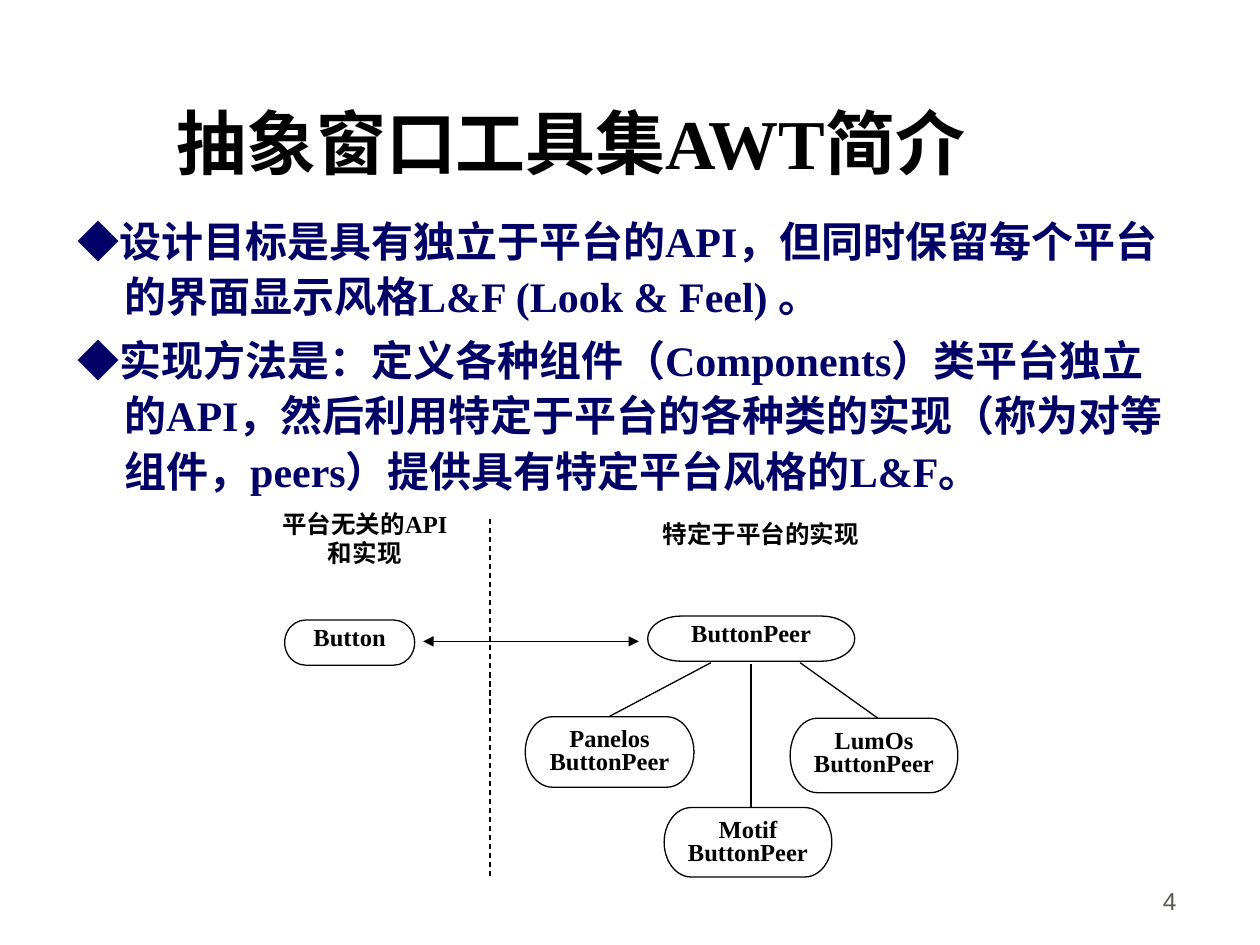
from pptx import Presentation
from pptx import util as u
from pptx.dml.color import RGBColor
from pptx.enum import dml, shapes, text
from pptx.oxml.ns import qn
from lxml import etree

SERIF = "Times New Roman"
BLACK, NAVY, GREY, WHITE = "000000", "000066", "5E574E", "FFFFFF"
ALIGN, ANCHOR = text.PP_ALIGN, text.MSO_ANCHOR


def color(code):
    return RGBColor.from_string(code)


def cm(*nums):
    return [u.Cm(n) for n in nums]


def apply(obj, vals):
    for name, val in vals.items():
        setattr(obj, name, val)


class Deck:
    def __init__(self):
        self.prs = Presentation()
        apply(self.prs, {"slide_width": u.Cm(25.4), "slide_height": u.Cm(19.05)})
        self.slide = self.prs.slides.add_slide(self.prs.slide_layouts[1])

    def style(self, font, size, code, bold=True, face=SERIF):
        apply(font, {"name": face, "size": u.Pt(size), "bold": bold})
        font.color.rgb = color(code)

    def place(self, shape, box):
        apply(shape, dict(zip(("left", "top", "width", "height"), cm(*box))))

    def frame(self, shape, anchor=ANCHOR.TOP):
        """Set up wrapping and anchoring, and return the text frame."""
        frame = shape.text_frame
        apply(frame, {"word_wrap": True, "auto_size": text.MSO_AUTO_SIZE.NONE,
                      "vertical_anchor": anchor})
        return frame

    def title(self, box, parts):
        shape = self.slide.shapes.title
        self.place(shape, box)
        para = self.frame(shape, ANCHOR.BOTTOM).paragraphs[0]
        para.alignment = ALIGN.LEFT
        for words, face in parts:
            run = para.add_run()
            run.text = words
            self.style(run.font, 40, BLACK, face=face)

    def body(self, box, items):
        shape = self.slide.placeholders[1]
        self.place(shape, box)
        frame = self.frame(shape)
        frame.text = "\n".join(items)
        for i, para in enumerate(frame.paragraphs):
            apply(para, {"line_spacing": 1.1, "space_before": u.Pt(4.8 if i else 0)})
            props = para._p.get_or_add_pPr()
            props.set("marL", str(u.Cm(0.95)))
            props.set("indent", str(u.Cm(-0.95)))
            etree.SubElement(props, qn("a:buNone"))
            self.style(para.runs[0].font, 24, NAVY)

    def label(self, box, words, align, anchor=ANCHOR.TOP, **look):
        shape = self.slide.shapes.add_textbox(*cm(*box))
        para = self.frame(shape, anchor).paragraphs[0]
        para.alignment = align
        run = para.add_run()
        run.text = words
        self.style(run.font, 14, **{"code": BLACK, **look})

    def node(self, box, words):
        kind = shapes.MSO_SHAPE.FLOWCHART_TERMINATOR
        shape = self.slide.shapes.add_shape(kind, *cm(*box))
        shape.shadow.inherit = False
        shape.fill.solid()
        shape.fill.fore_color.rgb = color(WHITE)
        self.stroke(shape.line)
        frame = self.frame(shape)
        apply(frame, dict(zip(("margin_left", "margin_top", "margin_right", "margin_bottom"),
                              cm(0.15, 0.03, 0.15, 0.03))))
        frame.text = words
        for para in frame.paragraphs:
            apply(para, {"alignment": ALIGN.CENTER, "line_spacing": 0.8})
            self.style(para.runs[0].font, 14, BLACK)

    def stroke(self, line):
        line.color.rgb = color(BLACK)
        line.width = u.Pt(0.75)

    def link(self, ends, dash=False, arrows=False):
        link = self.slide.shapes.add_connector(shapes.MSO_CONNECTOR.STRAIGHT, *cm(*ends))
        self.stroke(link.line)
        if dash:
            link.line.dash_style = dml.MSO_LINE.DASH
        if arrows:
            for tag in ("a:headEnd", "a:tailEnd"):
                etree.SubElement(link.line._get_or_add_ln(), qn(tag), type="triangle")
        etree.SubElement(link._element.spPr, qn("a:effectLst"))


def main():
    deck = Deck()
    deck.label((18.69, 17.3, 5.28, 1.27), "4", ALIGN.RIGHT, ANCHOR.BOTTOM,
               code=GREY, bold=False, face="Arial")
    deck.title((3.3, 0.64, 19.43, 3.18),
               [("抽象窗口工具集", "Montserrat"), ("AWT简介", SERIF)])
    deck.body((1.3, 4.11, 22.71, 6.81), [
        "◆设计目标是具有独立于平台的API，但同时保留每个平台的界面显示风格L&F (Look & Feel) 。",
        "◆实现方法是：定义各种组件（Components）类平台独立的API，然后利用特定于平台的"
        "各种类的实现（称为对等组件，peers）提供具有特定平台风格的L&F。",
    ])
    nodes = [
        ((5.74, 12.5, 2.62, 0.91), "Button"),
        ((13.06, 12.42, 4.17, 0.91), "ButtonPeer"),
        ((10.59, 14.45, 3.4, 1.42), "Panelos\nButtonPeer"),
        ((15.93, 14.48, 3.38, 1.5), "LumOs\nButtonPeer"),
        ((13.39, 16.28, 3.38, 1.4), "Motif\nButtonPeer"),
    ]
    for box, words in nodes:
        deck.node(box, words)
    deck.label((13.11, 10.34, 4.95, 1.12), "特定于平台的实现", ALIGN.JUSTIFY)
    deck.label((5.31, 10.13, 4.09, 2.18), "平台无关的API和实现", ALIGN.CENTER)
    for ends in ((14.33, 13.36, 12.27, 14.45), (15.14, 13.39, 15.14, 16.28),
                 (16.13, 13.36, 17.7, 14.48)):
        deck.link(ends)
    deck.link((8.53, 12.93, 12.88, 12.93), arrows=True)
    deck.link((9.88, 10.46, 9.88, 17.65), dash=True)
    deck.prs.save("out.pptx")


if __name__ == "__main__":
    main()
